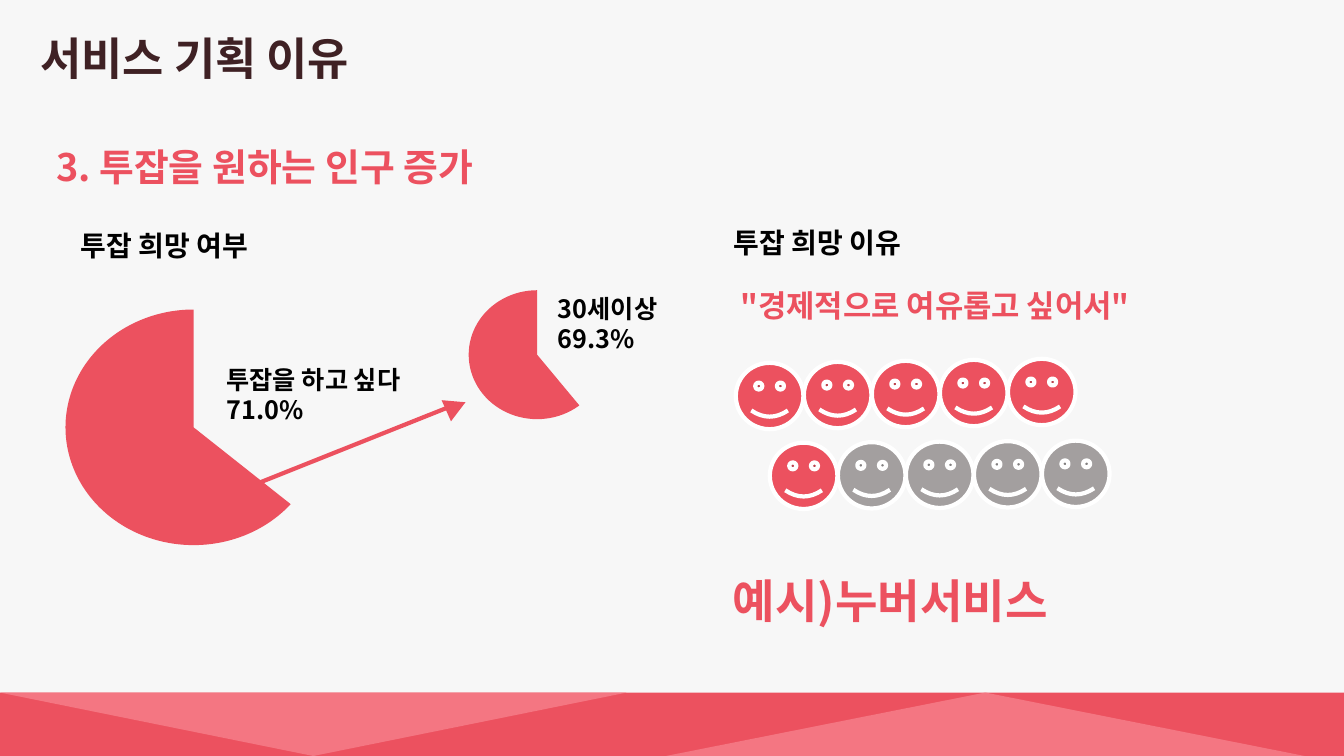
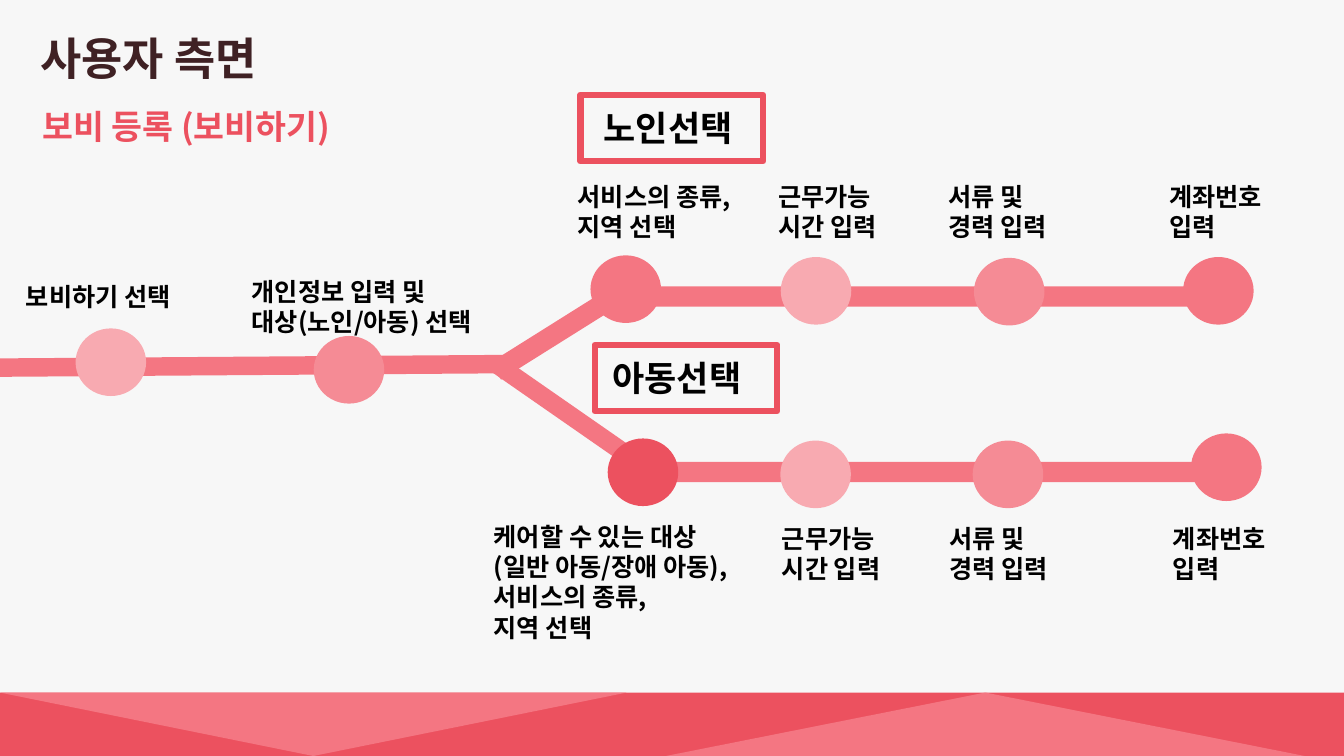
from dataclasses import dataclass
from typing import Optional

from lxml import etree
from pptx import Presentation
from pptx.dml.color import RGBColor
from pptx.enum import shapes, text
from pptx.oxml import ns
from pptx.util import Emu, Inches, Pt

FONT = "Noto Sans CJK KR"
PAPER = RGBColor(0xF7, 0xF7, 0xF7)
INK = RGBColor(0x3F, 0x21, 0x24)
BLACK = RGBColor(0x00, 0x00, 0x00)
WHITE = RGBColor(0xFF, 0xFF, 0xFF)
GREY = RGBColor(0xA3, 0x9F, 0x9F)
RED = RGBColor(0xEC, 0x51, 0x5F)
CORAL = RGBColor(0xF4, 0x76, 0x82)
ROSE = RGBColor(0xF5, 0x8B, 0x95)
BLUSH = RGBColor(0xF8, 0xAA, 0xB1)

# Square grid: 12 cells to the inch
COLUMNS, ROWS = 160, 90
CELL = Inches(1) / 12
TITLE_ONLY = 5
KIND = shapes.MSO_SHAPE


@dataclass(frozen=True)
class Box:
    """A place on the grid, in columns and rows."""
    left: float
    top: float
    width: float
    height: float


@dataclass(frozen=True)
class Label:
    """Bold text in a box; each line is a paragraph."""
    words: str
    box: Box
    size: float = 18
    colour: RGBColor = BLACK


@dataclass(frozen=True)
class Figure:
    """A preset shape with its look."""
    kind: shapes.MSO_SHAPE
    box: Box
    fill: Optional[RGBColor] = None
    line: Optional[RGBColor] = None
    line_width: float = 0
    rotation: float = 0
    adjustments: tuple[float, ...] = ()


def cells(count: float) -> Emu:
    """Turn grid cells into a length."""
    return Emu(round(count * CELL))


def place(box: Box) -> tuple[Emu, Emu, Emu, Emu]:
    """Give left, top, width and height of a box as lengths."""
    return cells(box.left), cells(box.top), cells(box.width), cells(box.height)


def write(shape, label: Label) -> None:
    """Write a label's lines into a shape, run by run."""
    frame = shape.text_frame
    frame.word_wrap = True
    frame.auto_size = text.MSO_AUTO_SIZE.SHAPE_TO_FIT_TEXT
    frame.vertical_anchor = text.MSO_ANCHOR.TOP
    for index, words in enumerate(label.words.split("\n")):
        paragraph = frame.add_paragraph() if index else frame.paragraphs[0]
        paragraph.alignment = text.PP_ALIGN.LEFT
        run = paragraph.add_run()
        run.text = words
        font = run.font
        font.name, font.size, font.bold = FONT, Pt(label.size), True
        font.color.rgb = label.colour
        east_asian = etree.SubElement(run._r.get_or_add_rPr(), ns.qn("a:ea"))
        east_asian.set("typeface", FONT)


def add_label(slide, label: Label) -> None:
    """Add a text box holding a label."""
    write(slide.shapes.add_textbox(*place(label.box)), label)


def add_figure(parent, figure: Figure) -> None:
    """Draw a preset shape on a slide or in a group."""
    shape = parent.shapes.add_shape(figure.kind, *place(figure.box))
    shape.shadow.inherit = False
    shape.rotation = figure.rotation
    for index, value in enumerate(figure.adjustments):
        shape.adjustments[index] = value
    if figure.fill is None:
        shape.fill.background()
    else:
        shape.fill.solid()
        shape.fill.fore_color.rgb = figure.fill
    if figure.line is None:
        shape.line.fill.background()
    else:
        shape.line.color.rgb = figure.line
        shape.line.width = Pt(figure.line_width)


def add_line(slide, start: tuple[float, float], end: tuple[float, float]) -> None:
    """Draw a red line between two grid points."""
    line = slide.shapes.add_connector(
        shapes.MSO_CONNECTOR.STRAIGHT, *map(cells, start + end))
    line.line.color.rgb = RED
    line.line.width = Pt(3)
    etree.SubElement(line._element.spPr, ns.qn("a:effectLst"))


def add_band(slide) -> None:
    """Draw the faceted band along the foot of a slide."""
    top, height = 82.45, 7.55
    band = slide.shapes.add_group_shape()
    add_figure(band, Figure(KIND.RECTANGLE, Box(0, top, COLUMNS, height), RED))
    add_figure(band, Figure(KIND.ISOSCELES_TRIANGLE, Box(79.3, top, 76, height), CORAL))
    add_figure(band, Figure(KIND.ISOSCELES_TRIANGLE, Box(0, top, 74.6, height),
                            CORAL, rotation=180))


def add_slide(presentation, title: str, title_width: float):
    """Add a slide with its title and foot band."""
    slide = presentation.slides.add_slide(presentation.slide_layouts[TITLE_ONLY])
    label = Label(title, Box(3.6, 3.1, title_width, 7.4), 32, INK)
    placeholder = slide.shapes.title
    (placeholder.left, placeholder.top,
     placeholder.width, placeholder.height) = place(label.box)
    write(placeholder, label)
    add_band(slide)
    return slide


def add_faces(slide, left: float, top: float, rise: float,
              colours: list[RGBColor]) -> None:
    """Draw a gently rising row of faces."""
    for index, colour in enumerate(colours):
        box = Box(left + 8.1 * index, top - rise * index, 8.05, 7.9)
        add_figure(slide, Figure(KIND.SMILEY_FACE, box, colour, WHITE, 3))


def build_reasons(presentation) -> None:
    """Build the slide on why the service is planned."""
    slide = add_slide(presentation, "서비스 기획 이유", 41.6)
    pies = [(Box(7.8, 36.85, 30.5, 28.05), 23.01),
            (Box(55.8, 34.55, 16.3, 15.35), 30.14)]
    for box, start in pies:
        add_figure(slide, Figure(KIND.PIE, box, RED, adjustments=(start, 162)))
    add_line(slide, (26.65, 59.15), (54.35, 48.1))
    add_figure(slide, Figure(KIND.ISOSCELES_TRIANGLE, Box(52.9, 47.15, 2.75, 2.5),
                             RED, rotation=66.1))
    add_faces(slide, 87.6, 43.2, 0.12, [RED] * 5)
    add_faces(slide, 91.65, 52.7, 0.06, [RED] + [GREY] * 4)
    labels = [
        Label("3. 투잡을 원하는 인구 증가", Box(5.5, 16.55, 59.6, 6.6), 27, RED),
        Label("투잡 희망 여부", Box(8.4, 26.6, 40, 5.2), 20),
        Label("투잡을 하고 싶다\n71.0%", Box(25.8, 42.8, 36, 8.4)),
        Label("30세이상\n69.3%", Box(65.25, 34.3, 34.3, 8.4)),
        Label("투잡 희망 이유", Box(86.15, 26.25, 33.8, 5.2), 20),
        Label("\"경제적으로 여유롭고 싶어서\"", Box(87, 33.5, 59.6, 5.5), 22, RED),
        Label("예시)누버서비스", Box(86.05, 67.55, 49.2, 7.8), 33, RED),
    ]
    for label in labels:
        add_label(slide, label)


def build_user_flow(presentation) -> None:
    """Build the slide on the steps a user goes through."""
    slide = add_slide(presentation, "사용자 측면", 29.8)
    tracks = [
        (Box(74.9, 55, 72.7, 2.4), 0),
        (Box(75.5, 34.1, 72.7, 2.4), 0),
        (Box(57.5, 37.7, 19.9, 2.4), 327.9),
        (Box(56.9, 49.3, 24.7, 2.2), 34.8),
        (Box(-11.8, 42.5, 71.8, 2.2), 359.6),
    ]
    for box, rotation in tracks:
        add_figure(slide, Figure(KIND.RECTANGLE, box, CORAL, rotation=rotation))

    stations = [
        (9, 39.1, BLUSH), (37.35, 40, ROSE),
        (70.3, 30.4, CORAL), (92.95, 30.6, BLUSH),
        (115.95, 30.7, ROSE), (140.85, 30.6, CORAL),
        (72.35, 52.2, RED), (92.9, 52.45, BLUSH),
        (115.8, 52.45, ROSE), (141.8, 51.6, CORAL),
    ]
    for left, top, colour in stations:
        add_figure(slide, Figure(KIND.OVAL, Box(left, top, 8.4, 8.05), colour))

    labels = [
        Label("보비 등록 (보비하기)", Box(3.85, 12, 38.4, 5.9), 24, RED),
        Label("보비하기 선택", Box(1.9, 32.9, 27.2, 4.8)),
        Label("개인정보 입력 및\n대상(노인/아동) 선택", Box(28.8, 32.3, 31.2, 8.4)),
        Label("서비스의 종류,\n지역 선택", Box(67.6, 21, 25.9, 8.5)),
        Label("케어할 수 있는 대상 (일반 아동/장애 아동),\n서비스의 종류,\n지역 선택",
              Box(57.6, 61.45, 33.2, 15.7)),
    ]
    # The last three steps are the same on both branches
    for top, shift in ((21, 0), (61.7, 0.45)):
        labels += [
            Label("근무가능 시간 입력", Box(91.45 + shift, top, 17.65, 8.4)),
            Label("서류 및 경력 입력", Box(111.75 + shift / 4, top, 16.45, 8.4)),
            Label("계좌번호\n입력", Box(138 + shift, top, 18.5, 8.4)),
        ]
    branches = [
        (Label("노인선택", Box(70.7, 12.1, 24.5, 6.15), 25), Box(69.1, 11.3, 21.75, 7.9)),
        (Label("아동선택", Box(71.75, 41.9, 24.8, 6.2), 25), Box(70.8, 41.05, 21.75, 7.9)),
    ]
    for label in labels:
        add_label(slide, label)
    for label, outline in branches:
        add_label(slide, label)
        add_figure(slide, Figure(KIND.RECTANGLE, outline, line=RED, line_width=4.5))


def main() -> None:
    """Build and save the presentation."""
    presentation = Presentation()
    presentation.slide_width = cells(COLUMNS)
    presentation.slide_height = cells(ROWS)
    background = presentation.slide_master.background.fill
    background.solid()
    background.fore_color.rgb = PAPER
    build_reasons(presentation)
    build_user_flow(presentation)
    presentation.save("out.pptx")


main()
